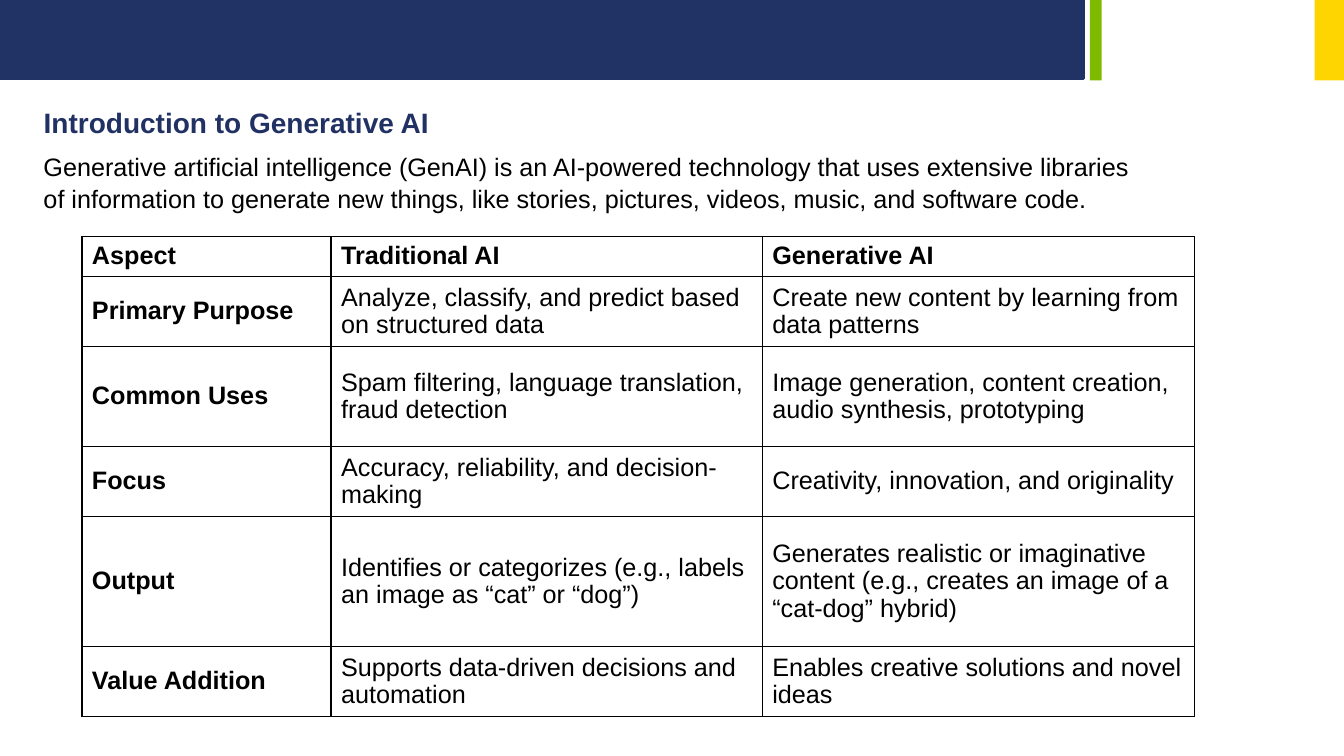
from lxml import etree
from pptx import Presentation
from pptx.dml.color import RGBColor
from pptx.enum import shapes, text
from pptx.oxml import ns
from pptx.util import Pt

NAVY, BLACK = "213264", "000000"
BARS = [
    (0, 774, 56, NAVY, NAVY),
    (778.5, 8.5, 57.5, "7FBA00", None),
    (939, 21, 57.5, "FED500", None),
]
INTRO = (
    "Generative artificial intelligence (GenAI) is an AI-powered technology "
    "that uses extensive libraries of information to generate new things, "
    "like stories, pictures, videos, music, and software code."
)
COLS = [178, 308, 308.5]
TALL = [28.5, 50, 71.5, 50, 93, 50]
ROWS = [
    ("Aspect", "Traditional AI", "Generative AI"),
    ("Primary Purpose",
     "Analyze, classify, and predict based on structured data",
     "Create new content by learning from data patterns"),
    ("Common Uses",
     "Spam filtering, language translation, fraud detection",
     "Image generation, content creation, audio synthesis, prototyping"),
    ("Focus",
     "Accuracy, reliability, and decision-making",
     "Creativity, innovation, and originality"),
    ("Output",
     "Identifies or categorizes (e.g., labels an image as “cat” or “dog”)",
     "Generates realistic or imaginative content (e.g., creates an image "
     "of a “cat-dog” hybrid)"),
    ("Value Addition",
     "Supports data-driven decisions and automation",
     "Enables creative solutions and novel ideas"),
]


def color(code):
    """Turn a hex string into a colour."""
    return RGBColor.from_string(code)


def assign(item, values):
    """Set each attribute named in a dict."""
    for name, value in values.items():
        setattr(item, name, value)


def write(frame, words, size=18, bold=False, ink=BLACK, gap=1.0):
    """Fill a text frame with one formatted paragraph."""
    frame.text = words
    para = frame.paragraphs[0]
    assign(para, {"alignment": text.PP_ALIGN.LEFT, "line_spacing": gap})
    font = para.runs[0].font
    assign(font, {"name": "Arial", "size": Pt(size), "bold": bold})
    font.color.rgb = color(ink)


def add_bar(slide, left, width, height, fill, line):
    """Add one block of the top band."""
    bar = slide.shapes.add_shape(
        shapes.MSO_SHAPE.RECTANGLE, Pt(left), 0, Pt(width), Pt(height))
    bar.shadow.inherit = False
    bar.fill.solid()
    bar.fill.fore_color.rgb = color(fill)
    if line:
        bar.line.color.rgb = color(line)
        bar.line.width = Pt(2)
    else:
        bar.line.fill.background()


def set_title(slide, words):
    """Place and format the title."""
    title = slide.shapes.title
    assign(title, {"left": Pt(24), "top": Pt(71.5),
                   "width": Pt(315), "height": Pt(31.5)})
    assign(title.text_frame, {"auto_size": text.MSO_AUTO_SIZE.NONE,
                              "vertical_anchor": text.MSO_ANCHOR.TOP})
    write(title.text_frame, words, 20, True, "213163")


def add_intro(slide, words):
    """Add the paragraph under the title."""
    box = slide.shapes.add_textbox(Pt(24), Pt(103), Pt(798), Pt(51))
    box.text_frame.word_wrap = True
    write(box.text_frame, words, gap=1.07)


def add_edges(cell):
    """Draw a thin black line on each side of a cell."""
    props = cell._tc.get_or_add_tcPr()
    for place, side in enumerate(("lnL", "lnR", "lnT", "lnB")):
        edge = etree.Element(ns.qn("a:" + side), w=str(Pt(1)))
        fill = etree.SubElement(edge, ns.qn("a:solidFill"))
        etree.SubElement(fill, ns.qn("a:srgbClr"), val=BLACK)
        props.insert(place, edge)


def add_grid(slide):
    """Add the comparison table."""
    table = slide.shapes.add_table(
        len(ROWS), len(COLS), Pt(58.5), Pt(169),
        Pt(sum(COLS)), Pt(sum(TALL))).table
    table.horz_banding = False
    for col, width in zip(table.columns, COLS):
        col.width = Pt(width)
    for r, (row, height) in enumerate(zip(table.rows, TALL)):
        row.height = Pt(height)
        for c, cell in enumerate(row.cells):
            cell.vertical_anchor = text.MSO_ANCHOR.MIDDLE
            cell.fill.solid()
            cell.fill.fore_color.rgb = color("FFFFFF")
            write(cell.text_frame, ROWS[r][c],
                  bold=r == 0 or c == 0, gap=0.97)
            add_edges(cell)


def main():
    """Build and save the slide."""
    deck = Presentation()
    assign(deck, {"slide_width": Pt(960), "slide_height": Pt(540)})
    slide = deck.slides.add_slide(deck.slide_layouts[5])
    for bar in BARS:
        add_bar(slide, *bar)
    set_title(slide, "Introduction to Generative AI")
    add_intro(slide, INTRO)
    add_grid(slide)
    deck.save("out.pptx")


if __name__ == "__main__":
    main()
